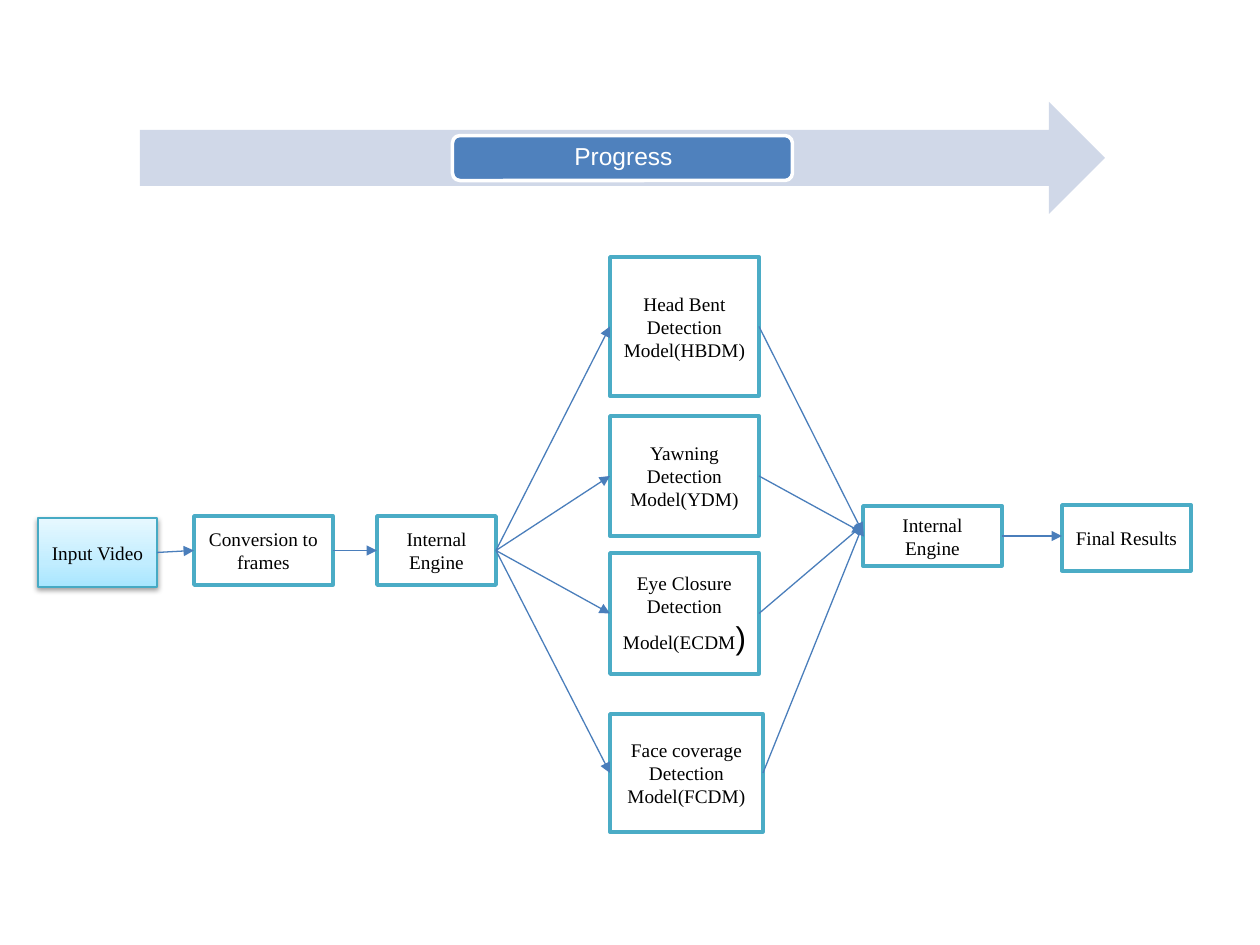
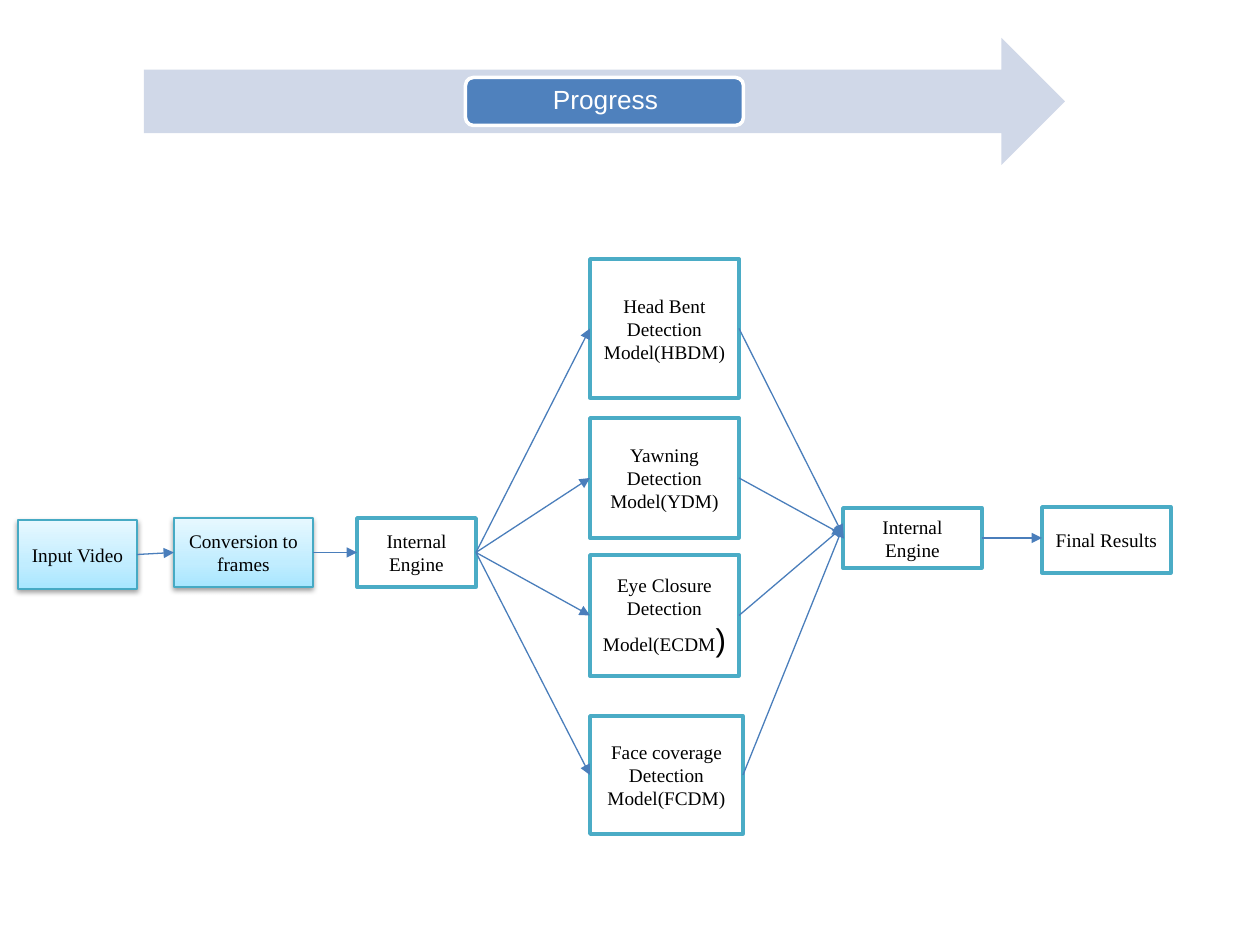
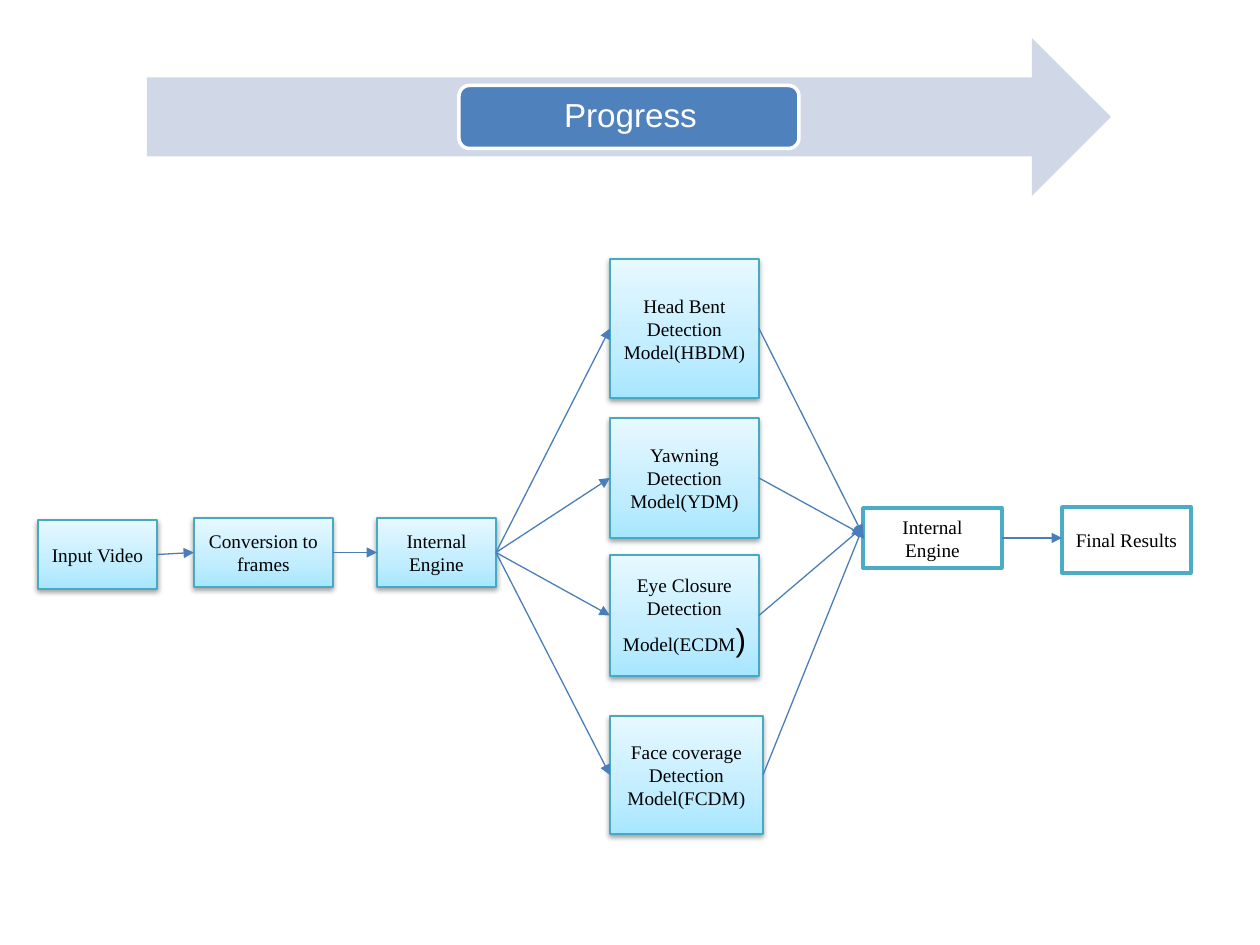
from copy import deepcopy

from pptx import Presentation
from pptx.dml.color import RGBColor
from pptx.enum.shapes import MSO_CONNECTOR as Connector, MSO_SHAPE as Shape
from pptx.enum.text import MSO_ANCHOR as Anchor, PP_ALIGN as Align
from pptx.oxml import parse_xml
from pptx.oxml.ns import nsdecls, qn
from pptx.util import Emu, Pt

# Shared style
WHITE, BLACK = "FFFFFF", "000000"
ARROW_BAND, PILL = "D0D8E8", "4F81BD"
PENDING_LINE, DONE_LINE, FLOW_LINE = "4BACC6", "46AAC4", "4A7EBB"
DONE_GRADIENT = [(0, "A7E6FF"), (0.35, "C1EDFF"), (1, "E7F8FF")]
BOX_FONT = {"name": "Times New Roman", "size": Pt(11)}
LARGE_FONT = {"name": "Arial", "size": Pt(18)}
LEFT, RIGHT = 1, 3

# Pipeline: left, top, width, height in px, and the text of each box
BOXES = {
    "input": (38, 518, 119, 69, "Input Video"),
    "frames": (194, 516, 139, 69, "Conversion to frames"),
    "engine": (377, 516, 119, 69, "Internal Engine"),
    "head": (610, 257, 149, 139, "Head Bent Detection Model(HBDM)"),
    "yawn": (610, 416, 149, 120, "Yawning Detection Model(YDM)"),
    "eye": (610, 553, 149, 121, "Eye Closure Detection Model(ECDM"),
    "face": (610, 714, 153, 118, "Face coverage Detection Model(FCDM)"),
    "merge": (863, 506, 139, 60, "Internal Engine"),
    "results": (1062, 505, 129, 66, "Final Results"),
}
MODELS = ["head", "yawn", "eye", "face"]

# Links that meet the middle of both sides
JOINED = [("input", "frames"), ("frames", "engine")]
JOINED += [("engine", model) for model in MODELS]
# Links that end beside the middle: start, target, y of the end
OFFSET = list(zip(MODELS, ["merge"] * 4, [533, 533, 525, 525]))
OFFSET.append(("merge", "results", 536))

# Slides: banner arrow, pill size, pill insets, text size, space after,
# shift of the pipeline, and how many steps are done
SLIDES = [
    ((140, 102, 965, 112), (340, 45), (10, 10, 8, 10), 14, 4.9, (0, 0), 1),
    ((144, 38, 921, 127), (278, 48), (10, 10, 8, 10), 15, 5.2, (-20, 2), 2),
    ((147, 38, 964, 158), (340, 63), (13, 13, 10, 13), 19, 6.7, (0, 2), 7),
]


def px(length):
    return Emu(round(length * 914400 / 126))


def color(value):
    return RGBColor.from_string(value)


class Deck:
    def __init__(self):
        self.presentation = Presentation()
        self.presentation.slide_width = px(1260)
        self.presentation.slide_height = px(945)
        self.slide = None

    def new_slide(self):
        layout = self.presentation.slide_layouts[6]
        self.slide = self.presentation.slides.add_slide(layout)

    def shape(self, parent, kind, bounds, fill, line=None, weight=2):
        shape = parent.shapes.add_shape(kind, *map(px, bounds))
        shape.shadow.inherit = False
        shape.fill.solid()
        shape.fill.fore_color.rgb = color(fill)
        if line:
            shape.line.color.rgb = color(line)
            shape.line.width = Pt(weight)
        else:
            shape.line.fill.background()
        return shape

    def text(self, shape, runs, ink):
        frame = shape.text_frame
        frame.word_wrap = True
        frame.vertical_anchor = Anchor.MIDDLE
        paragraph = frame.paragraphs[0]
        paragraph.alignment = Align.CENTER
        for content, values in runs:
            run = paragraph.add_run()
            run.text = content
            run.font.color.rgb = color(ink)
            for name, value in values.items():
                setattr(run.font, name, value)
        return frame

    def banner(self, arrow, pill_size, insets, size, space_after):
        group = self.slide.shapes.add_group_shape()
        self.shape(group, Shape.RIGHT_ARROW, arrow, ARROW_BAND)
        left, top, width, height = arrow
        pill_width, pill_height = pill_size
        bounds = (left + (width - pill_width) / 2,
                  top + (height - pill_height) / 2, pill_width, pill_height)
        pill = self.shape(group, Shape.ROUNDED_RECTANGLE, bounds, PILL, WHITE)
        frame = self.text(
            pill, [("Progress", {"name": "Arial", "size": Pt(size)})], WHITE)
        for side, inset in zip(("left", "top", "right", "bottom"), insets):
            setattr(frame, f"margin_{side}", px(inset))
        for name, value in {"line_spacing": 0.9,
                            "space_after": Pt(space_after)}.items():
            setattr(frame.paragraphs[0], name, value)

    def box(self, bounds, runs, done):
        line, weight = (DONE_LINE, 0.75) if done else (PENDING_LINE, 2)
        shape = self.shape(self.slide, Shape.RECTANGLE, bounds, WHITE, line, weight)
        if done:
            self.mark_done(shape)
        self.text(shape, runs, BLACK)
        return shape

    def mark_done(self, shape):
        # Gradient, pale at the top
        shape.fill.gradient()
        shape.fill.gradient_angle = 90
        properties = shape.element.spPr
        stops = properties.find(".//" + qn("a:gsLst"))
        stops.append(deepcopy(stops[0]))
        for stop, (position, value) in zip(shape.fill.gradient_stops, DONE_GRADIENT):
            stop.position = position
            stop.color.rgb = color(value)
        # Soft shadow below
        properties.find(qn("a:effectLst")).append(parse_xml(
            f'<a:outerShdw {nsdecls("a")} blurRad="{Pt(3.1)}" dist="{Pt(1.6)}" '
            'dir="5400000" rotWithShape="0"><a:srgbClr val="000000">'
            '<a:alpha val="38000"/></a:srgbClr></a:outerShdw>'))

    def link(self, start, target, end_y=None):
        connector = self.slide.shapes.add_connector(
            Connector.STRAIGHT, 0, 0, target.left, px(end_y or 0))
        connector.begin_connect(start, RIGHT)
        if end_y is None:
            connector.end_connect(target, LEFT)
        connector.line.color.rgb = color(FLOW_LINE)
        connector.line.width = Pt(0.75)
        connector.line._get_or_add_ln().append(
            parse_xml(f'<a:tailEnd {nsdecls("a")} type="triangle"/>'))
        connector._element.spPr.append(
            parse_xml(f'<a:effectLst {nsdecls("a")}/>'))

    def pipeline(self, shift, done_count):
        shift_x, shift_y = shift
        shapes = {}
        for index, (name, (left, top, width, height, label)) in enumerate(BOXES.items()):
            runs = [(label, BOX_FONT)]
            if name == "eye":
                runs.append((")", LARGE_FONT))
            bounds = (left + shift_x, top + shift_y, width, height)
            shapes[name] = self.box(bounds, runs, index < done_count)
        for start, target in JOINED:
            self.link(shapes[start], shapes[target])
        for start, target, end_y in OFFSET:
            self.link(shapes[start], shapes[target], end_y + shift_y)


def main():
    deck = Deck()
    for *banner, shift, done_count in SLIDES:
        deck.new_slide()
        deck.banner(*banner)
        deck.pipeline(shift, done_count)
    deck.presentation.save("out.pptx")


if __name__ == "__main__":
    main()
